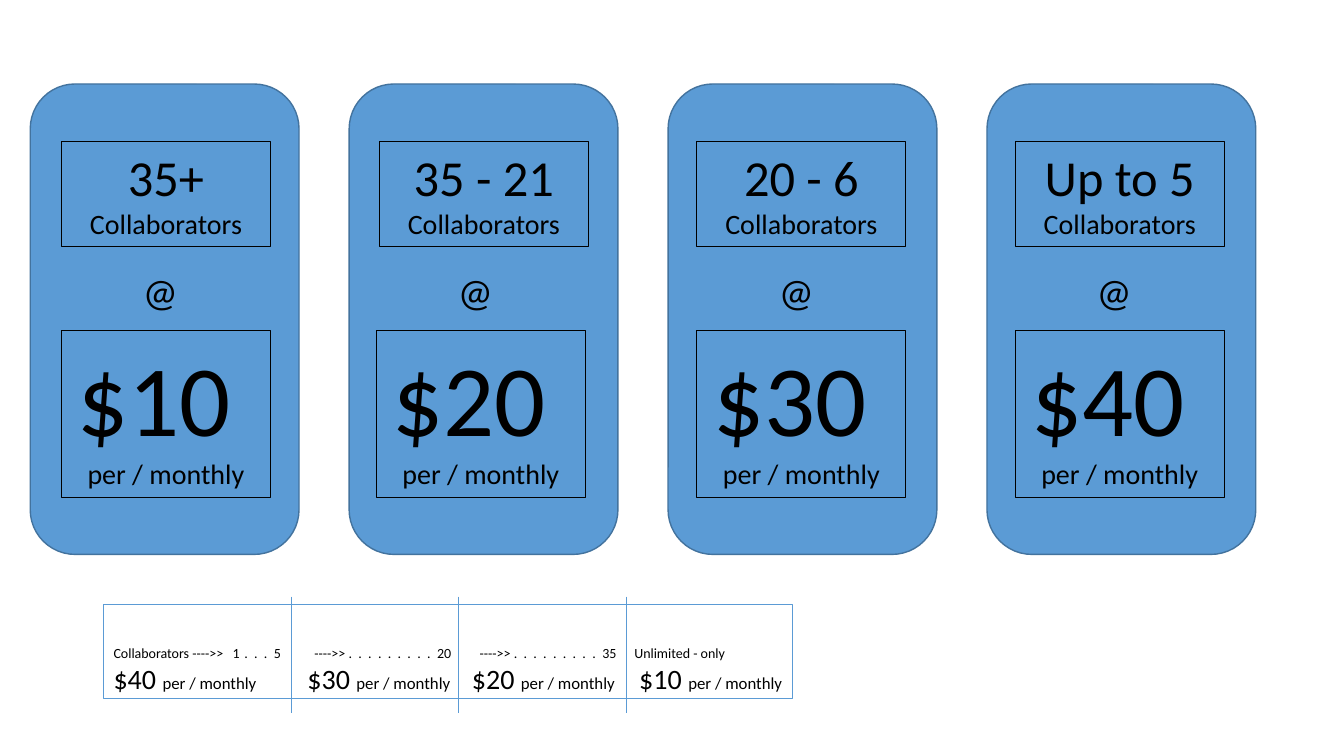
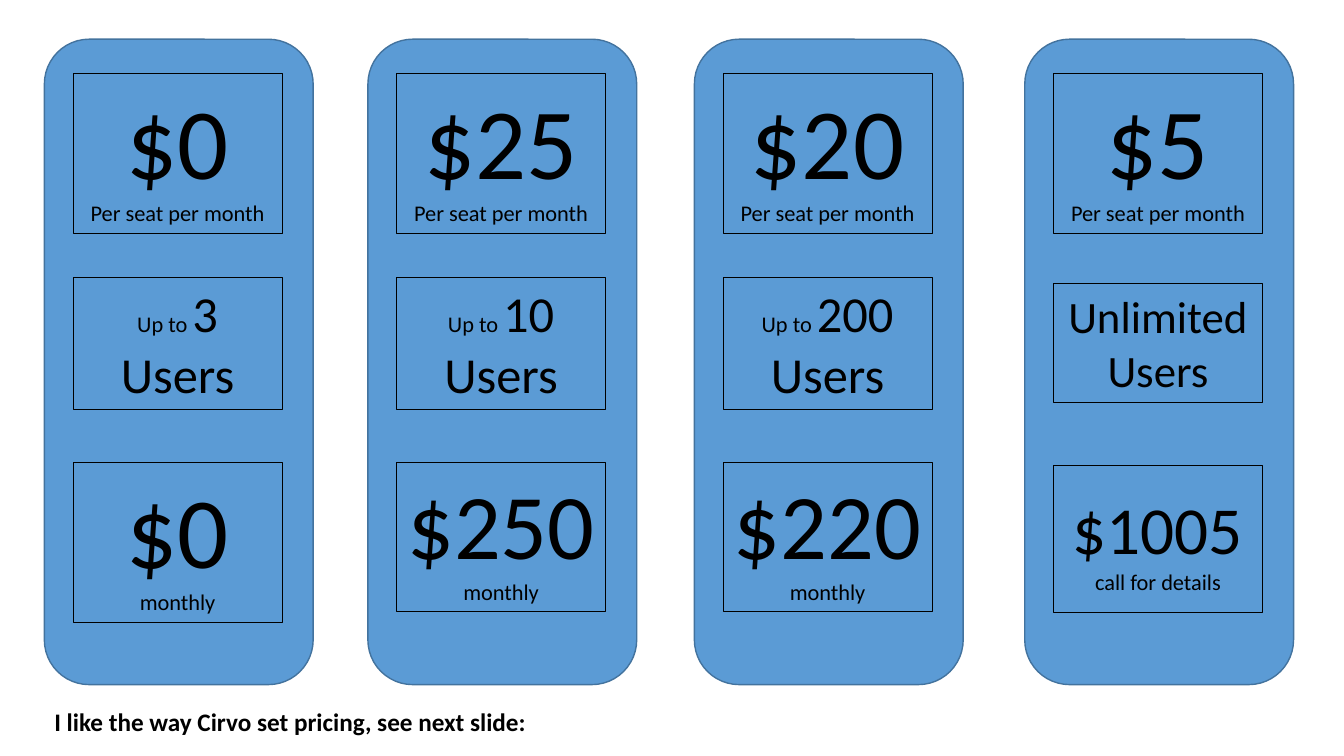
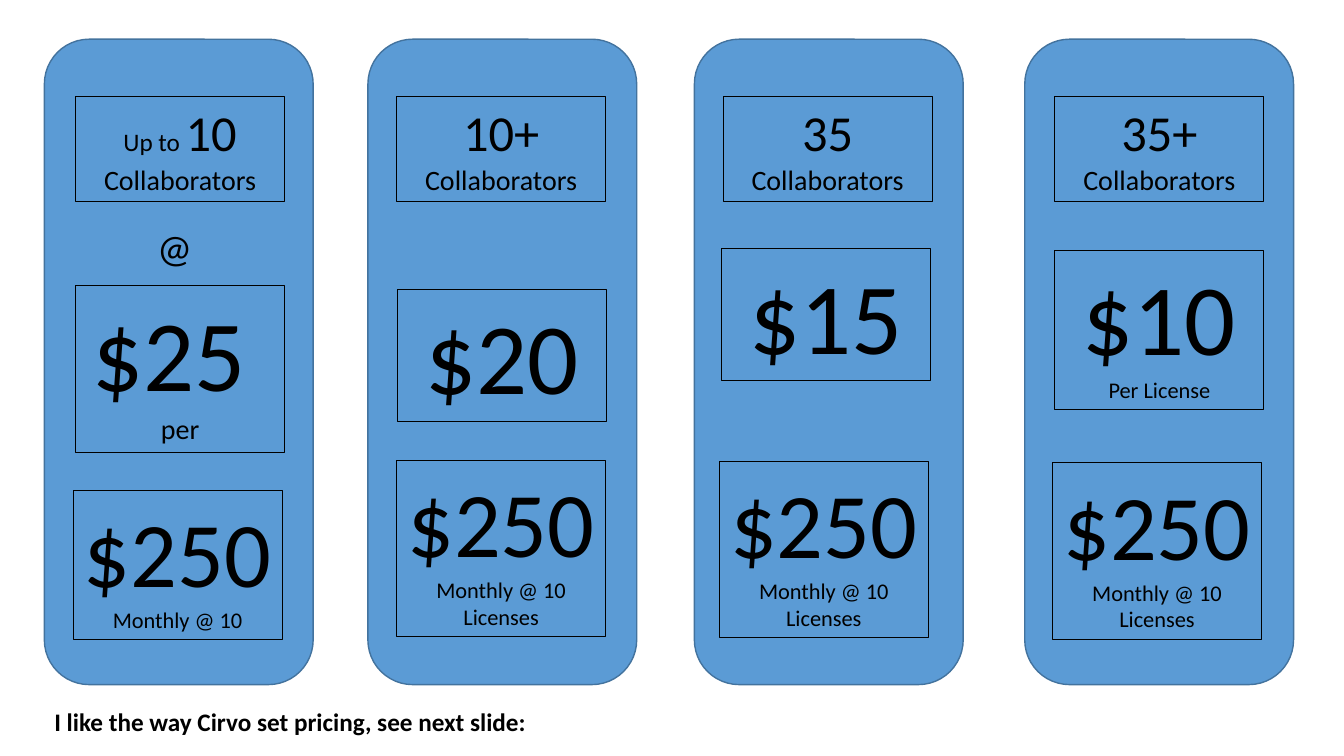
import pptx
import pptx.util
import pptx.dml.color
import pptx.enum.shapes
import pptx.enum.text
import pptx.oxml
import pptx.oxml.ns
import lxml.etree

Pt = pptx.util.Pt
SHAPE = pptx.enum.shapes.MSO_SHAPE
ANCHOR = pptx.enum.text.MSO_ANCHOR
FIT = pptx.enum.text.MSO_AUTO_SIZE
ALIGN = pptx.enum.text.PP_ALIGN

COLORS = {"card": "5B9BD5", "card_edge": "43739E", "ink": "000000"}
FONT = "Calibri"
CARD_W, BOX_W = 192, 149.3
TALL_CARDS = [31.7, 262.8, 496, 732]
TALL_TOP, TALL_H = 28, 461


def rgb(name):
    return pptx.dml.color.RGBColor.from_string(COLORS[name])


def set_font(font, size, bold=None):
    font.name = FONT
    font.size = Pt(size)
    font.bold = bold
    font.color.rgb = rgb("ink")


def write(tf, paragraphs, align=None, bold=None):
    """Each paragraph is a list of (text, size) or (text, size, letter spacing)."""
    for i, runs in enumerate(paragraphs):
        p = tf.paragraphs[0] if i == 0 else tf.add_paragraph()
        p.alignment = align
        uniform = len({run[1] for run in runs}) == 1
        if uniform:
            set_font(p.font, runs[0][1], bold)
        for text, size, *spacing in runs:
            r = p.add_run()
            r.text = text
            if not uniform:
                set_font(r.font, size, bold)
            if spacing:
                r.font.size = Pt(size)
                r.font._element.set("spc", str(spacing[0]))


def text_box(shapes, x, y, w, h, paragraphs, edge=None, align=None,
             bold=None, wrap=True, fit=FIT.SHAPE_TO_FIT_TEXT):
    sp = shapes.add_textbox(Pt(x), Pt(y), Pt(w), Pt(h))
    tf = sp.text_frame
    tf.word_wrap = wrap
    tf.auto_size = fit
    if edge:
        sp.line.color.rgb = rgb(edge)
        sp.line.width = Pt(0.75)
    write(tf, paragraphs, align, bold)
    return sp


def card(shapes, x, y, h, boxes, at_sign=None):
    """Rounded card; boxes are (dx, dy, height, paragraphs) from its corner."""
    sp = shapes.add_shape(SHAPE.ROUNDED_RECTANGLE, Pt(x), Pt(y), Pt(CARD_W), Pt(h))
    sp.shadow.inherit = False
    sp.fill.solid()
    sp.fill.fore_color.rgb = rgb("card")
    sp.line.color.rgb = rgb("card_edge")
    sp.line.width = Pt(1)
    for dx, dy, box_h, paragraphs in boxes:
        # A leading number is the space above the first line of a fixed box
        fixed = isinstance(paragraphs[0], (int, float))
        lines = paragraphs[1:] if fixed else paragraphs
        box = text_box(shapes, x + dx, y + dy, BOX_W, box_h, lines, "ink", ALIGN.CENTER,
                       fit=FIT.NONE if fixed else FIT.SHAPE_TO_FIT_TEXT)
        if fixed:
            box.text_frame.margin_top = Pt(paragraphs[0])
    if at_sign:
        dx, dy = at_sign
        text_box(shapes, x + dx, y + dy, 42.5, 41.2, [[("@", 28)]])


def add_tabs(p, stops):
    pPr = p._p.get_or_add_pPr()
    tabs = lxml.etree.Element(pptx.oxml.ns.qn("a:tabLst"))
    for stop in stops:
        lxml.etree.SubElement(tabs, pptx.oxml.ns.qn("a:tab"),
                              pos=str(int(Pt(stop))), algn="l")
    pPr.insert(0, tabs)


def price_strip(shapes, x, y, w, h):
    """Outlined scale of prices with dividers between its four parts."""
    dots = (". " * 9, 10, 113)
    scale = [("Collaborators ---->>\t1", 10), (" . . . ", 10, 113), ("5\t---->> ", 10),
             dots, ("20\t---->> ", 10), dots, ("35\tUnlimited - only", 10)]
    prices = []
    for i, price in enumerate(["$40 ", "$30 ", "$20 ", "$10 "]):
        prices += [("\t" * (i > 0) + price, 20), ("per / monthly", 12)]
    sp = text_box(shapes, x, y, w, h, [scale, prices], "card", fit=FIT.NONE)
    tf = sp.text_frame
    tf.vertical_anchor = ANCHOR.BOTTOM
    tf.margin_bottom = Pt(2.5)
    add_tabs(tf.paragraphs[0], [85, 143.5, 261.5, 372])
    add_tabs(tf.paragraphs[1], [138.5, 256, 375.5])

    for dx in (134, 253.5, 373.5):
        line = shapes.add_connector(pptx.enum.shapes.MSO_CONNECTOR.STRAIGHT,
                                    Pt(x + dx), Pt(y - 5.8), Pt(x + dx), Pt(y + 77))
        line.line.color.rgb = rgb("card")
        line.line.width = Pt(0.5)
        lxml.etree.SubElement(line._element.spPr, pptx.oxml.ns.qn("a:effectLst"))


def collaborators(*count):
    return [[*count, (" Collaborators", 20)]]


def price(amount, note=None, size=72, note_size=16):
    return [[(amount, size)]] + ([[(note, note_size)]] if note else [])


def tier_slide(slide):
    tiers = [  # count, price, box dx, price dx, @ dx
        ("35+", "$10 ", 22.3, 22.3, 73.4),
        ("35 - 21", "$20 ", 21.6, 19.4, 70.6),
        ("20 - 6", "$30 ", 20.6, 20.6, 72),
        ("Up to 5", "$40 ", 20.2, 20.2, 71.3),
    ]
    for i, (count, amount, dx, price_dx, at_dx) in enumerate(tiers):
        group = slide.shapes.add_group_shape()
        card(group.shapes, 21.6 + 227.8 * i, 60, 336, [
            (dx, 41, 75, collaborators((count, 36))),
            (price_dx, 176.4, 119, price(amount, "per / monthly", note_size=20)),
        ], (at_dx, 127.4))
    price_strip(slide.shapes, 74, 432, 492.3, 67)


def tall_cards_slide(slide, cards):
    for x, (boxes, at_sign) in zip(TALL_CARDS, cards):
        card(slide.shapes, x, TALL_TOP, TALL_H, boxes, at_sign)
    text_box(slide.shapes, 31.7, 501, 353.5, 29,
             [[("I like the way Cirvo set pricing, see next slide:", 18)]],
             bold=True, wrap=False)


def seat_cards():
    dx = 20.5
    plans = [  # seat price, users, users dy, users height, total dy, total height, total
        ("$0", "3", 302.4, 114, price("$0", "monthly")),
        ("$25", "10", 302.4, 106.6, price("$250", "monthly", 66)),
        ("$20", "200", 302.4, 106.6, price("$220", "monthly", 66)),
        ("$5", None, 304.4, 105, [15.8] + price("$1005", "call for details", 48)),
    ]
    cards = []
    for seat, users, total_dy, total_h, total in plans:
        if users:
            limit = (dx, 170, 94.3, [[("Up to ", 16), (users + " Users", 36)]])
        else:
            limit = (dx, 174.5, 85, [[("Unlimited", 32)], [("Users", 32)]])
        cards.append(([(dx, 24.5, 114, price(seat, "Per seat per month")),
                       limit, (dx, total_dy, total_h, total)], None))
    return cards


def license_cards():
    total = price("$250", "Monthly @ 10 Licenses", 66)
    return [
        ([(22.3, 41, 75, collaborators(("Up to ", 18), ("10", 36))),
          (22.3, 176, 119, price("$25 ", "per", note_size=20)),
          (20.5, 322.3, 106.6, price("$250", "Monthly @ 10", 66))], (73.4, 128.2)),
        ([(20.5, 41, 75, collaborators(("10+", 36))),
          (21.3, 178.5, 94.3, price("$20")),
          (20.5, 301, 126, total)], None),
        ([(20.5, 41, 75, collaborators(("35", 36))),
          (19.6, 149.8, 94.3, price("$15")),
          (17.8, 301.6, 126, total)], None),
        ([(21.5, 41, 75, collaborators(("35+", 36))),
          (21.5, 150.6, 114, price("$10", "Per License")),
          (19.8, 302.6, 126, total)], None),
    ]


def main():
    prs = pptx.Presentation()
    prs.slide_width, prs.slide_height = Pt(960), Pt(540)
    blank = prs.slide_layouts[6]
    tier_slide(prs.slides.add_slide(blank))
    for cards in (seat_cards(), license_cards()):
        tall_cards_slide(prs.slides.add_slide(blank), cards)
    prs.save("out.pptx")


if __name__ == "__main__":
    main()
